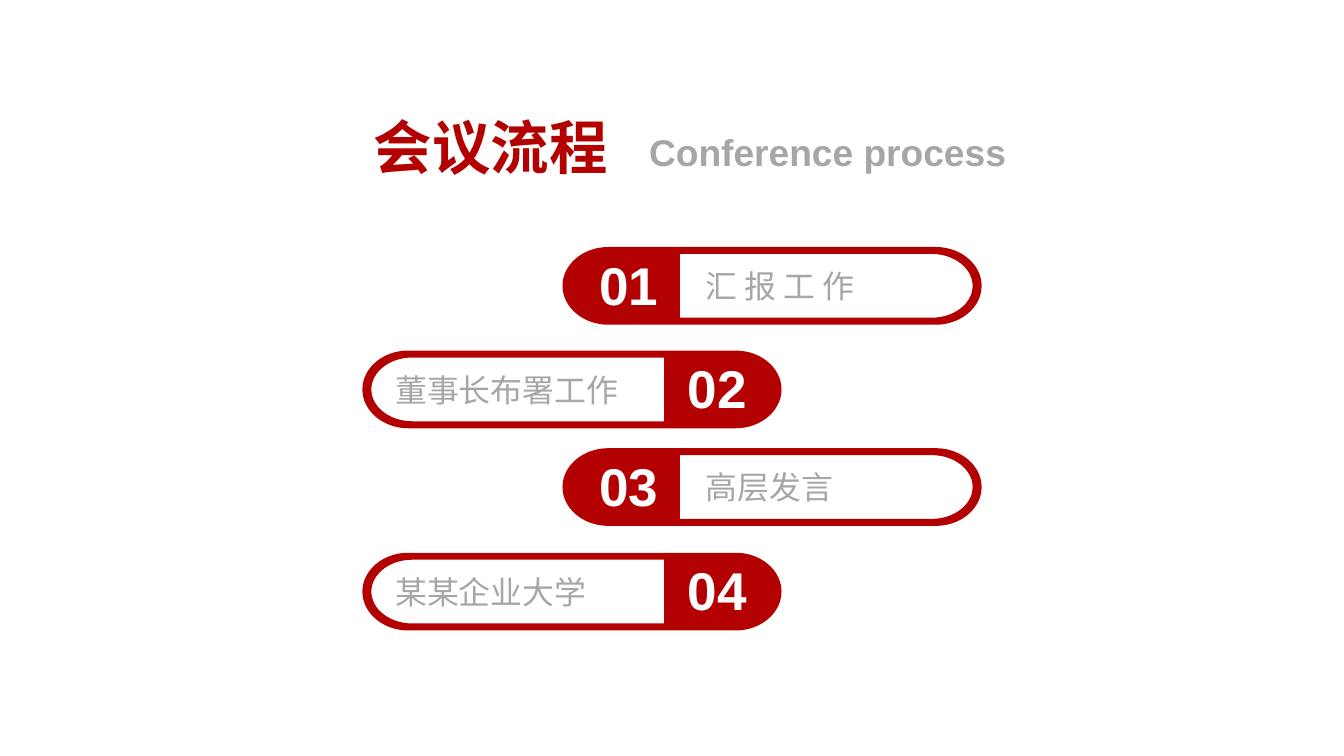
from dataclasses import dataclass

from pptx import Presentation
from pptx.dml.color import RGBColor
from pptx.enum.text import MSO_ANCHOR, MSO_AUTO_SIZE, PP_ALIGN
from pptx.oxml.ns import qn
from pptx.oxml.xmlchemy import OxmlElement
from pptx.util import Pt

PX = 9525  # EMU in one px
PILL_WIDTH, PILL_HEIGHT = 421, 78
ROUNDNESS = 0.55  # Bezier handle length of a quarter ellipse
CURVE_STARTS = (1, 4, 8, 11, 16, 19)  # first of three points of each curve


@dataclass(frozen=True)
class Theme:
    red: RGBColor = RGBColor(0xB3, 0x00, 0x00)
    gray: RGBColor = RGBColor(0xA6, 0xA6, 0xA6)
    white: RGBColor = RGBColor(0xFF, 0xFF, 0xFF)
    font: str = "Arial"
    title: int = 44
    subtitle: int = 28
    number: int = 40
    label: int = 24


THEME = Theme()


def write(shape, text, size, color, bold=False, align=PP_ALIGN.LEFT,
          anchor=MSO_ANCHOR.TOP, inset=0):
    frame = shape.text_frame
    frame.word_wrap = True
    frame.vertical_anchor = anchor
    frame.margin_left = inset * PX
    frame.margin_top = frame.margin_right = frame.margin_bottom = 0
    frame.text = text
    para = frame.paragraphs[0]
    para.alignment = align
    font = para.runs[0].font
    font.name, font.size, font.bold = THEME.font, Pt(size), bold
    font.color.rgb = color


def add_label(slide, left, top, width, height, text, size, color, **layout):
    box = slide.shapes.add_textbox(left * PX, top * PX, width * PX, height * PX)
    write(box, text, size, color, bold=True, **layout)
    box.text_frame.auto_size = MSO_AUTO_SIZE.SHAPE_TO_FIT_TEXT


def round_end(right, top, bottom, radius):
    """Start point and two Bezier curves of a half ellipse, from top to bottom."""
    middle, start = (top + bottom) / 2, right - radius
    reach_x = start + radius * ROUNDNESS
    reach_y = (middle - top) * ROUNDNESS
    return [(start, top), (reach_x, top), (right, middle - reach_y),
            (right, middle), (right, middle + reach_y), (reach_x, bottom),
            (start, bottom)]


def bend_curves(pill):
    """Turn each marked run of three line points into one Bezier curve."""
    segments = list(pill._element.iter(qn("a:lnTo")))
    for start in CURVE_STARTS:
        curve = OxmlElement("a:cubicBezTo")
        segments[start].addprevious(curve)
        for segment in segments[start:start + 3]:
            curve.append(segment[0])
            segment.getparent().remove(segment)


def add_pill(slide, left, top, number_on_left, text):
    # Outline and window, with the number end on the left
    right_end = round_end(PILL_WIDTH, 0, PILL_HEIGHT, 46)
    left_end = [(PILL_WIDTH - x, PILL_HEIGHT - y) for x, y in right_end]
    outline = left_end[-1:] + right_end + left_end
    window = [(118, 71), (118, 7)] + round_end(PILL_WIDTH - 9, 7, 71, 41)

    def place(points):
        return [((left + (x if number_on_left else PILL_WIDTH - x)) * PX,
                 (top + y) * PX) for x, y in points]

    outline, window = place(outline), place(window)
    builder = slide.shapes.build_freeform(*outline[0])
    builder.add_line_segments(outline[1:], close=True)
    builder.move_to(*window[0])
    builder.add_line_segments(window[1:], close=True)
    pill = builder.convert_to_shape()
    bend_curves(pill)
    pill.shadow.inherit = False
    pill.fill.solid()
    pill.fill.fore_color.rgb = THEME.red
    pill.line.fill.background()
    write(pill, text, THEME.label, THEME.gray, anchor=MSO_ANCHOR.MIDDLE,
          inset=144 if number_on_left else 33)


def add_step(slide, index, top, text):
    number_on_left = index % 2 == 1
    left, number_offset = (565, 22) if number_on_left else (364, 312)
    add_pill(slide, left, top, number_on_left, text)
    add_label(slide, left + number_offset, top + 5, 89, 64, f"{index:02}",
              THEME.number, THEME.white, align=PP_ALIGN.CENTER)


def main():
    deck = Presentation()
    deck.slide_width, deck.slide_height = 1350 * PX, 759 * PX
    slide = deck.slides.add_slide(deck.slide_layouts[6])

    # Agenda steps, alternating right and left
    steps = [(248, "汇 报 工 作"), (352, "董事长布署工作"),
             (450, "高层发言"), (555, "某某企业大学")]
    for index, (top, text) in enumerate(steps, start=1):
        add_step(slide, index, top, text)

    # Heading
    add_label(slide, 361, 111, 264, 71, "会议流程", THEME.title, THEME.red,
              align=PP_ALIGN.CENTER, anchor=MSO_ANCHOR.MIDDLE)
    add_label(slide, 652, 130, 432, 45, "Conference process",
              THEME.subtitle, THEME.gray)

    deck.save("out.pptx")


if __name__ == "__main__":
    main()
